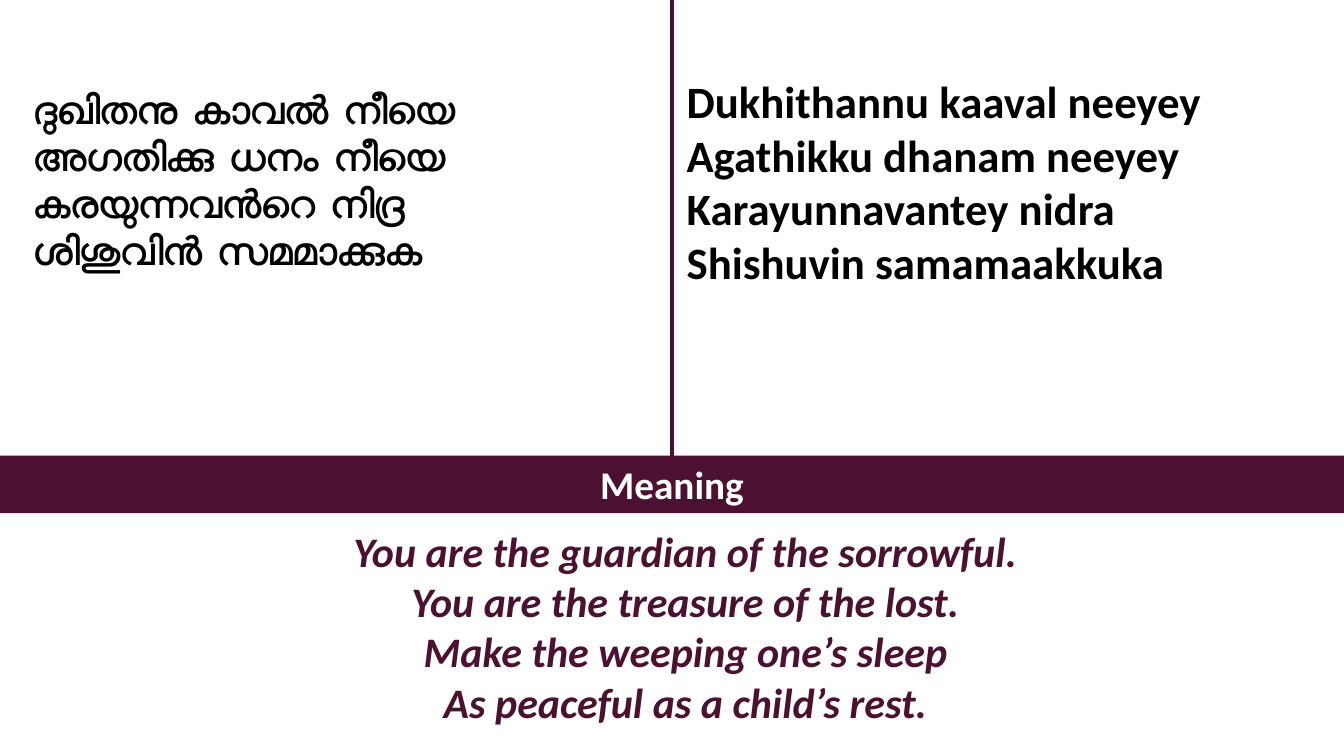
from dataclasses import dataclass

from lxml.etree import SubElement
from pptx import Presentation
from pptx.dml.color import RGBColor
from pptx.enum.shapes import MSO_CONNECTOR, MSO_SHAPE
from pptx.enum.text import MSO_ANCHOR, MSO_AUTO_SIZE, PP_ALIGN
from pptx.oxml.ns import qn
from pptx.slide import Slide
from pptx.text.text import TextFrame
from pptx.util import Inches, Pt


@dataclass(frozen=True)
class Theme:
    plum: RGBColor = RGBColor(0x4C, 0x11, 0x30)
    black: RGBColor = RGBColor(0, 0, 0)
    white: RGBColor = RGBColor(255, 255, 255)
    malayalam_font: str = "Lato"
    latin_font: str = "Calibri"
    small: int = 28
    medium: int = 30
    large: int = 32


THEME = Theme()
SLIDE_WIDTH, SLIDE_HEIGHT = 13.33, 7.5
BAR_TOP, BAR_HEIGHT = 4.52, 0.57


@dataclass(frozen=True)
class Box:
    left: float
    top: float
    width: float
    height: float

    def lengths(self) -> tuple:
        return tuple(Inches(v) for v in (self.left, self.top, self.width, self.height))


@dataclass(frozen=True)
class Verse:
    text: str
    size: int
    color: RGBColor
    font: str = THEME.latin_font
    align: PP_ALIGN = PP_ALIGN.LEFT
    italic: bool = False
    inset_x: float = 0.1
    inset_y: float = 0.05


MALAYALAM = Verse(
    "ദുഖിതനു കാവൽ നീയെ\n"
    "അഗതിക്കു ധനം നീയെ\n"
    "കരയുന്നവൻറെ നിദ്ര\n"
    "ശിശുവിൻ സമമാക്കുക",
    THEME.small, THEME.black, THEME.malayalam_font,
)
TRANSLITERATION = Verse(
    "Dukhithannu kaaval neeyey\n"
    "Agathikku dhanam neeyey\n"
    "Karayunnavantey nidra\n"
    "Shishuvin samamaakkuka",
    THEME.large, THEME.black, inset_x=0.12, inset_y=0.06,
)
HEADING = Verse("Meaning", THEME.small, THEME.white, align=PP_ALIGN.CENTER)
MEANING = Verse(
    "You are the guardian of the sorrowful.\n"
    "You are the treasure of the lost.\n"
    "Make the weeping one’s sleep\n"
    "As peaceful as a child’s rest.",
    THEME.medium, THEME.plum, align=PP_ALIGN.CENTER, italic=True,
)


def write_verse(frame: TextFrame, verse: Verse) -> None:
    frame.text = verse.text
    frame.word_wrap = True
    frame.auto_size = MSO_AUTO_SIZE.NONE
    frame.margin_left = frame.margin_right = Inches(verse.inset_x)
    frame.margin_top = frame.margin_bottom = Inches(verse.inset_y)
    for paragraph in frame.paragraphs:
        paragraph.alignment = verse.align
        for run in paragraph.runs:
            run.font.name = verse.font
            run.font.size = Pt(verse.size)
            run.font.bold = True
            run.font.italic = verse.italic
            run.font.color.rgb = verse.color


def place_title(slide: Slide, box: Box, verse: Verse) -> None:
    title = slide.shapes.title
    title.left, title.top, title.width, title.height = box.lengths()
    write_verse(title.text_frame, verse)
    title.text_frame.vertical_anchor = MSO_ANCHOR.MIDDLE
    # Lifts the verse above the middle of its panel
    title.text_frame.margin_bottom = Inches(1.15)


def add_verse(slide: Slide, box: Box, verse: Verse) -> None:
    write_verse(slide.shapes.add_textbox(*box.lengths()).text_frame, verse)


def add_heading_bar(slide: Slide, box: Box, verse: Verse) -> None:
    bar = slide.shapes.add_shape(MSO_SHAPE.RECTANGLE, *box.lengths())
    bar.shadow.inherit = False
    bar.fill.solid()
    bar.fill.fore_color.rgb = THEME.plum
    bar.line.fill.background()
    write_verse(bar.text_frame, verse)


def add_divider(slide: Slide) -> None:
    middle = Inches(SLIDE_WIDTH / 2)
    divider = slide.shapes.add_connector(
        MSO_CONNECTOR.STRAIGHT, middle, 0, middle, Inches(BAR_TOP)
    )
    divider.line.color.rgb = THEME.plum
    divider.line.width = Pt(3)
    SubElement(divider.element.spPr, qn("a:effectLst"))


def main() -> None:
    deck = Presentation()
    deck.slide_width, deck.slide_height = Inches(SLIDE_WIDTH), Inches(SLIDE_HEIGHT)
    slide = deck.slides.add_slide(deck.slide_layouts[5])
    slide.background.fill.solid()
    slide.background.fill.fore_color.rgb = THEME.white

    place_title(slide, Box(0.23, 0.07, 6.17, 4.52), MALAYALAM)
    add_verse(slide, Box(6.69, 0.67, 6.53, 2.88), TRANSLITERATION)
    add_verse(slide, Box(1.05, 5.16, 11.5, 2.12), MEANING)
    add_heading_bar(slide, Box(0, BAR_TOP, SLIDE_WIDTH, BAR_HEIGHT), HEADING)
    add_divider(slide)
    deck.save("out.pptx")


if __name__ == "__main__":
    main()
